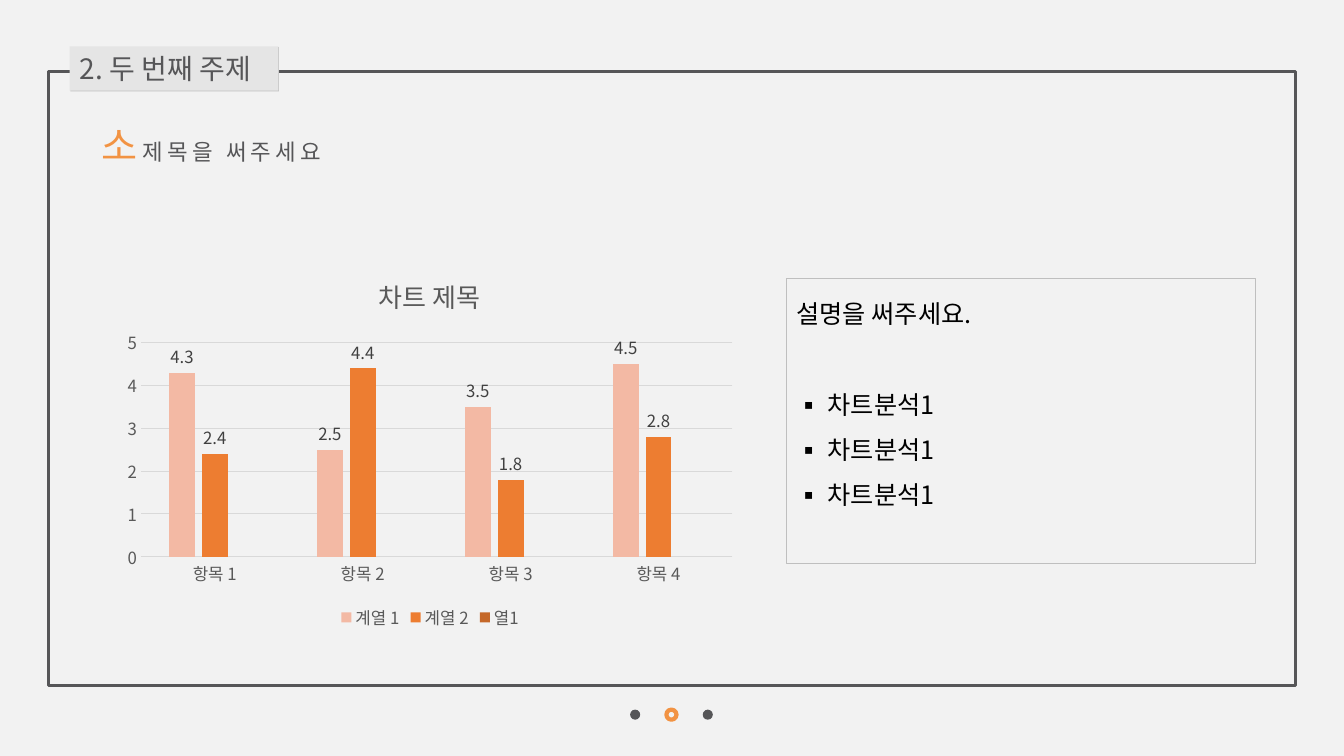
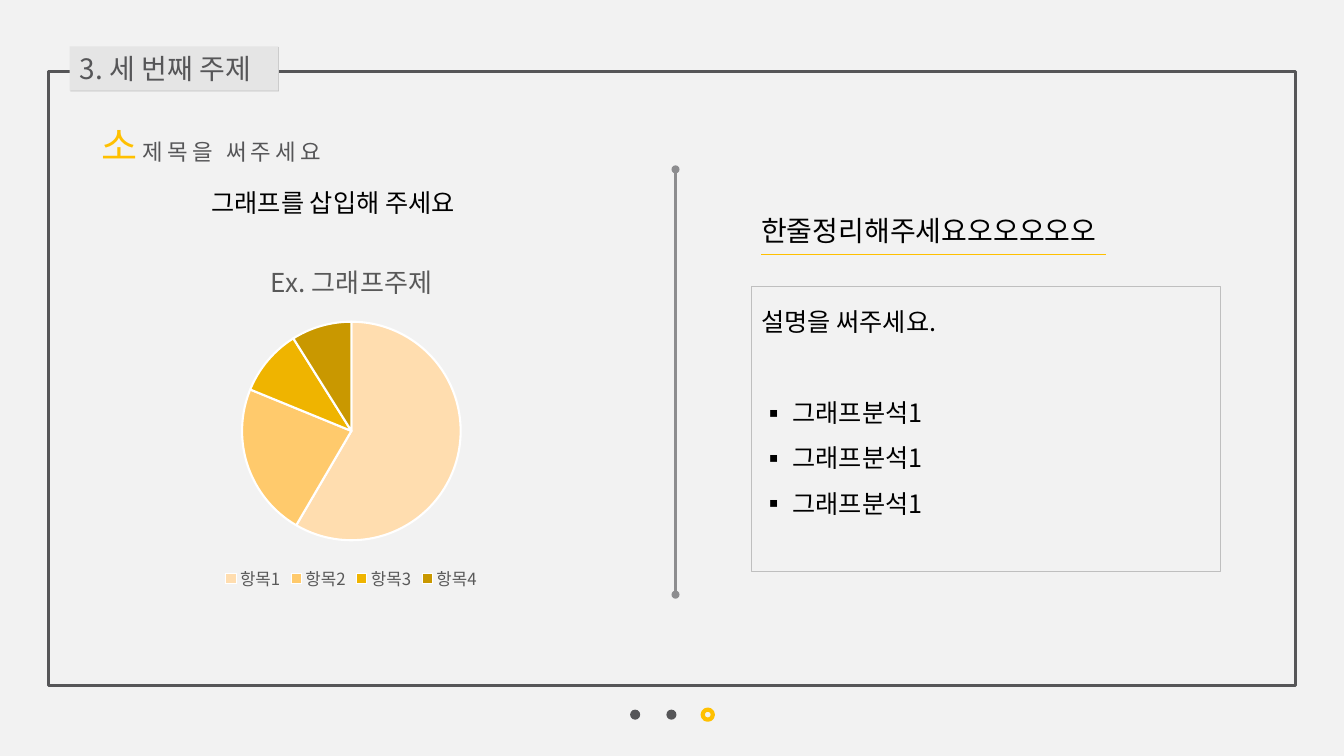
from lxml import etree
from pptx import Presentation
from pptx.chart.data import CategoryChartData
from pptx.dml.color import RGBColor
from pptx.enum.chart import (XL_CHART_TYPE, XL_LABEL_POSITION,
                             XL_LEGEND_POSITION, XL_TICK_MARK)
from pptx.enum.shapes import MSO_CONNECTOR, MSO_SHAPE
from pptx.enum.text import MSO_ANCHOR, MSO_AUTO_SIZE, PP_ALIGN
from pptx.oxml.ns import qn
from pptx.util import Inches, Pt

FONT = "Noto Sans CJK KR"
PAPER = RGBColor(0xF2, 0xF2, 0xF2)
TAB = RGBColor(0xE5, 0xE5, 0xE5)
INK = RGBColor(0x56, 0x56, 0x58)
DIVIDER = RGBColor(0x8D, 0x8D, 0x8F)
BORDER = RGBColor(0xBF, 0xBF, 0xBF)
GRID = RGBColor(0xD9, 0xD9, 0xD9)
CHART_TEXT = RGBColor(0x59, 0x59, 0x59)
LABEL_TEXT = RGBColor(0x40, 0x40, 0x40)
BLACK = RGBColor(0, 0, 0)
WHITE = RGBColor(0xFF, 0xFF, 0xFF)
ORANGE = RGBColor(0xF2, 0x93, 0x43)
YELLOW = RGBColor(0xFF, 0xC0, 0x00)
COLUMN_COLORS = [RGBColor(0xF3, 0xB9, 0xA4), RGBColor(0xED, 0x7D, 0x31),
                 RGBColor(0xC5, 0x68, 0x29)]
PIE_COLORS = [RGBColor(0xFF, 0xDD, 0xAF), RGBColor(0xFF, 0xCA, 0x6C),
              RGBColor(0xEF, 0xB4, 0x00), RGBColor(0xC9, 0x98, 0x00)]

FRAME = (0.48, 0.71, 12.37, 6.09)
PAGE_COUNT = 3


def inches(box):
    """Turn a box of plain numbers into lengths."""
    return [Inches(value) for value in box]


def style_font(font, size, color):
    """Set face, size and colour, for Latin and Korean letters alike."""
    font.name, font.size = FONT, Pt(size)
    font.color.rgb = color
    latin = font._rPr.find(qn("a:latin"))
    korean = etree.Element(qn("a:ea"), typeface=FONT)
    latin.addnext(korean)


def add_run(paragraph, text, size, color):
    """Append a styled run to a paragraph."""
    run = paragraph.add_run()
    run.text = text
    style_font(run.font, size, color)
    return run


def add_outline(slide, kind, box, fill=None, line=None, width=0):
    """Add a preset shape with an optional fill and line."""
    shape = slide.shapes.add_shape(kind, *inches(box))
    shape.shadow.inherit = False
    if fill is None:
        shape.fill.background()
    else:
        shape.fill.solid()
        shape.fill.fore_color.rgb = fill
    if line is None:
        shape.line.fill.background()
    else:
        shape.line.color.rgb = line
        shape.line.width = Pt(width)
    return shape


def add_dot(slide, x, y, size, **look):
    """Add a circle centred on a point."""
    box = (x - size / 2, y - size / 2, size, size)
    return add_outline(slide, MSO_SHAPE.OVAL, box, **look)


def add_rule(slide, start, end, color, width):
    """Add a straight line between two points."""
    rule = slide.shapes.add_connector(MSO_CONNECTOR.STRAIGHT,
                                      *inches(start + end))
    rule.line.color.rgb = color
    rule.line.width = Pt(width)
    etree.SubElement(rule._element.spPr, qn("a:effectLst"))


def add_text(slide, box, wrap=True):
    """Add an empty text box and return its first paragraph."""
    frame = slide.shapes.add_textbox(*inches(box)).text_frame
    frame.word_wrap = wrap
    return frame.paragraphs[0]


def place_title(slide, text, box):
    """Set the title as a raised tab on the frame's upper edge."""
    title = slide.shapes.title
    title.left, title.top, title.width, title.height = inches(box)
    title.fill.solid()
    title.fill.fore_color.rgb = TAB
    effects = etree.SubElement(title._element.spPr, qn("a:effectLst"))
    shadow = etree.SubElement(effects, qn("a:outerShdw"), blurRad="0",
                              dist=str(Inches(0.01)), dir="2700000",
                              algn="tl", rotWithShape="0")
    etree.SubElement(shadow, qn("a:srgbClr"), val=str(BORDER))
    frame = title.text_frame
    frame.word_wrap = False
    frame.auto_size = MSO_AUTO_SIZE.NONE
    frame.vertical_anchor = MSO_ANCHOR.MIDDLE
    frame.paragraphs[0].alignment = PP_ALIGN.LEFT
    add_run(frame.paragraphs[0], text, 20, INK)


def add_subtitle(slide, box, accent):
    """Write the subtitle with its large coloured first letter."""
    paragraph = add_text(slide, box, wrap=False)
    add_run(paragraph, "소", 28, accent)
    add_run(paragraph, " ", 16, INK)
    spaced = add_run(paragraph, "제목을 써주세요", 16, INK)
    spaced.font._rPr.set("spc", "300")


def add_page_dots(slide, x, y, gap, current, accent):
    """Draw the page dots, the current one as a ring."""
    for page in range(PAGE_COUNT):
        look = ({"line": accent, "width": 3} if page == current
                else {"fill": INK})
        add_dot(slide, x + page * gap, y, 0.1, **look)


def start_slide(prs, title, page, accent):
    """Create a slide with the shared frame, tab, subtitle and dots."""
    slide = prs.slides.add_slide(prs.slide_layouts[1])
    frame = add_outline(slide, MSO_SHAPE.RECTANGLE, FRAME, line=INK, width=2)
    slide.shapes.element.insert(2, frame.element)
    left, top = FRAME[:2]
    place_title(slide, title, (left + 0.21, top - 0.25, 2.07, 0.44))
    add_subtitle(slide, (left + 0.43, top + 0.44, 2.54, 0.57), accent)
    add_page_dots(slide, 6.3, 7.09, 0.36, page, accent)
    return slide


def fill_notes_panel(slide, box, lead, points):
    """Fill the body placeholder with a lead line and bulleted points."""
    panel = slide.placeholders[1]
    panel.left, panel.top, panel.width, panel.height = inches(box)
    panel.line.color.rgb = BORDER
    panel.line.width = Pt(0.5)
    frame = panel.text_frame
    frame.word_wrap = True
    frame.auto_size = MSO_AUTO_SIZE.NONE
    frame.vertical_anchor = MSO_ANCHOR.TOP
    for index, text in enumerate([lead] + points):
        paragraph = frame.add_paragraph() if index else frame.paragraphs[0]
        paragraph.line_spacing = 1.5
        paragraph.space_before = Pt(32.4 if index == 1 else 0)
        add_run(paragraph, text, 18, BLACK)
        props = paragraph._p.get_or_add_pPr()
        indent = Inches(0.31) if index else 0
        props.set("marL", str(indent))
        props.set("indent", str(-indent))
        if index:
            etree.SubElement(props, qn("a:buFont"), typeface=FONT)
            etree.SubElement(props, qn("a:buChar"), char="▪")
        else:
            etree.SubElement(props, qn("a:buNone"))


def add_titled_chart(slide, kind, box, title, categories, series):
    """Add a chart with the shared title and bottom legend."""
    data = CategoryChartData()
    data.categories = categories
    for name, values in series:
        data.add_series(name, values)
    chart = slide.shapes.add_chart(kind, *inches(box), data).chart
    style_font(chart.font, 10, BLACK)
    chart.has_title = True
    heading = chart.chart_title.text_frame.paragraphs[0]
    add_run(heading, title, 18.6, CHART_TEXT).font.bold = False
    chart.chart_title.include_in_layout = False
    chart.has_legend = True
    chart.legend.position = XL_LEGEND_POSITION.BOTTOM
    chart.legend.include_in_layout = False
    style_font(chart.legend.font, 12, CHART_TEXT)
    return chart


def add_column_chart(slide, box):
    """Add the clustered columns with value labels."""
    chart = add_titled_chart(
        slide, XL_CHART_TYPE.COLUMN_CLUSTERED, box, "차트 제목",
        [f"항목 {number}" for number in range(1, 5)],
        [("계열 1", (4.3, 2.5, 3.5, 4.5)),
         ("계열 2", (2.4, 4.4, 1.8, 2.8)),
         ("열1", (None,) * 4)])
    plot = chart.plots[0]
    plot.gap_width, plot.overlap = 219, -27
    plot.vary_by_categories = False
    for series, color in zip(plot.series, COLUMN_COLORS):
        series.format.fill.solid()
        series.format.fill.fore_color.rgb = color
        labels = series.data_labels
        labels.show_value = True
        labels.position = XL_LABEL_POSITION.OUTSIDE_END
        style_font(labels.font, 12, LABEL_TEXT)
    for axis in (chart.category_axis, chart.value_axis):
        axis.major_tick_mark = axis.minor_tick_mark = XL_TICK_MARK.NONE
        style_font(axis.tick_labels.font, 12, CHART_TEXT)
    values = chart.value_axis
    values.minimum_scale, values.maximum_scale, values.major_unit = 0, 5, 1
    values.format.line.fill.background()
    values.has_major_gridlines = True
    for line in (chart.category_axis.format.line,
                 values.major_gridlines.format.line):
        line.color.rgb = GRID
        line.width = Pt(0.75)


def add_pie_chart(slide, box):
    """Add the pie with white gaps between its slices."""
    chart = add_titled_chart(
        slide, XL_CHART_TYPE.PIE, box, "Ex. 그래프주제",
        [f"항목{number}" for number in range(1, 5)],
        [("Series 1", (59, 23, 10, 9))])
    plot = chart.plots[0]
    plot.vary_by_categories = True
    for index, color in enumerate(PIE_COLORS):
        slice_format = plot.series[0].points[index].format
        slice_format.fill.solid()
        slice_format.fill.fore_color.rgb = color
        slice_format.line.color.rgb = WHITE
        slice_format.line.width = Pt(1.5)


def add_divider(slide, x, top, bottom):
    """Draw a vertical line ending in dots."""
    add_rule(slide, (x, top), (x, bottom), DIVIDER, 2)
    for y in (top, bottom):
        add_dot(slide, x, y, 0.08, fill=DIVIDER)


def add_summary(slide, box):
    """Write the one-line summary above a thin rule."""
    left, top, _, height = box
    add_run(add_text(slide, box, wrap=False), "한줄정리해주세요오오오오오",
            20, BLACK)
    y = top + height + 0.01
    add_rule(slide, (left + 0.1, y), (left + 3.52, y), YELLOW, 0.5)


def build_column_slide(prs):
    """Second topic: column chart and its notes."""
    slide = start_slide(prs, "2. 두 번째 주제", 1, ORANGE)
    add_column_chart(slide, (1.14, 2.54, 6.25, 3.75))
    fill_notes_panel(slide, (7.8, 2.76, 4.65, 2.83), "설명을 써주세요.",
                     ["차트분석1"] * 3)


def build_pie_slide(prs):
    """Third topic: pie chart, divider, summary and notes."""
    slide = start_slide(prs, "3. 세 번째 주제", 2, YELLOW)
    add_pie_chart(slide, (-0.16, 2.4, 7.29, 3.5))
    add_run(add_text(slide, (2, 1.81, 3.17, 0.4)),
            "그래프를 삽입해 주세요", 18, BLACK)
    add_divider(slide, 6.7, 1.68, 5.9)
    add_summary(slide, (7.45, 2.07, 3.65, 0.44))
    fill_notes_panel(slide, (7.45, 2.84, 4.65, 2.83), "설명을 써주세요.",
                     ["그래프분석1"] * 3)


def main():
    """Build both slides and save the deck."""
    prs = Presentation()
    prs.slide_width, prs.slide_height = Inches(13.33), Inches(7.5)
    background = prs.slide_master.background.fill
    background.solid()
    background.fore_color.rgb = PAPER
    build_column_slide(prs)
    build_pie_slide(prs)
    prs.save("out.pptx")


main()
